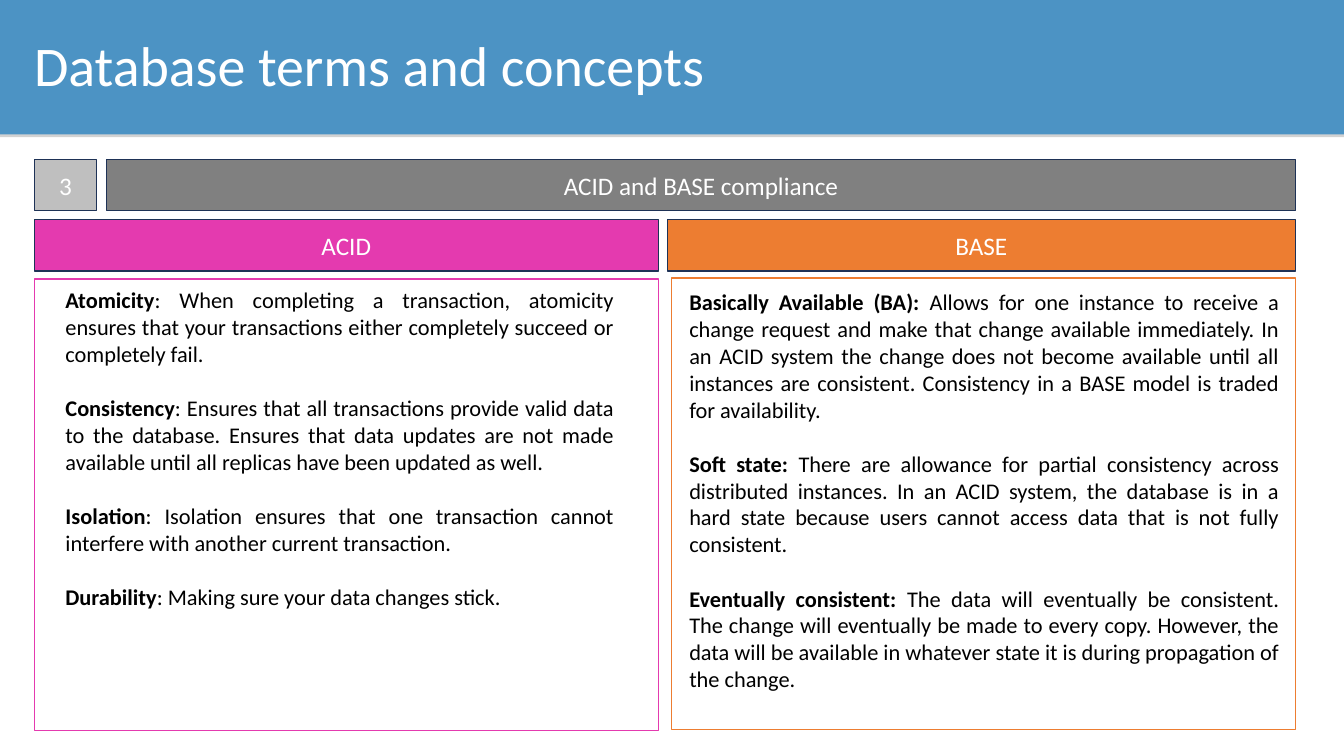
from lxml import etree
from pptx import Presentation
from pptx.dml.color import RGBColor
from pptx.enum.shapes import MSO_SHAPE
from pptx.enum.text import MSO_ANCHOR, PP_ALIGN
from pptx.oxml.ns import qn
from pptx.util import Inches, Pt

RECT = MSO_SHAPE.RECTANGLE
TOP, MIDDLE = MSO_ANCHOR.TOP, MSO_ANCHOR.MIDDLE
LEFT, CENTER, JUSTIFY = PP_ALIGN.LEFT, PP_ALIGN.CENTER, PP_ALIGN.JUSTIFY

FONT = "Calibri"
WHITE = RGBColor(0xFF, 0xFF, 0xFF)
BLACK = RGBColor(0x00, 0x00, 0x00)
BLUE = RGBColor(0x4C, 0x93, 0xC4)
NAVY = RGBColor(0x1E, 0x32, 0x56)
SILVER = RGBColor(0xBF, 0xBF, 0xBF)
GRAY = RGBColor(0x80, 0x80, 0x80)
PINK = RGBColor(0xE4, 0x3A, 0xAF)
ORANGE = RGBColor(0xED, 0x7D, 0x31)

WIDTH, HEIGHT = Inches(13.333), Inches(7.5)
COL, ROW = WIDTH / 100, HEIGHT / 100
MARGIN, RIGHT = 2.55, 96.38
BAR_H = 6.8
PANEL_W, PANEL_H = 46.43, 59.73

ACID = [
    ("Atomicity", ": When completing a transaction, atomicity ensures that your "
     "transactions either completely succeed or completely fail."),
    ("Consistency", ": Ensures that all transactions provide valid data to the "
     "database. Ensures that data updates are not made available until all "
     "replicas have been updated as well."),
    ("Isolation", ": Isolation ensures that one transaction cannot interfere "
     "with another current transaction."),
    ("Durability", ": Making sure your data changes stick."),
]
BASE = [
    ("Basically Available (BA): ", "Allows for one instance to receive a change "
     "request and make that change available immediately. In an ACID system the "
     "change does not become available until all instances are consistent. "
     "Consistency in a BASE model is traded for availability."),
    ("Soft state: ", "There are allowance for partial consistency across "
     "distributed instances. In an ACID system, the database is in a hard state "
     "because users cannot access data that is not fully consistent."),
    ("Eventually consistent: ", "The data will eventually be consistent. The "
     "change will eventually be made to every copy. However, the data will be "
     "available in whatever state it is during propagation of the change."),
]


def place(box):
    x, y, w, h = box
    return round(x * COL), round(y * ROW), round(w * COL), round(h * ROW)


def style_run(r, size, color, bold=False):
    r.font.name = FONT
    r.font.size = Pt(size)
    r.font.color.rgb = color
    r.font.bold = bold


def add_rect(s, box, fill=None, line=None):
    sp = s.shapes.add_shape(RECT, *place(box))
    sp.shadow.inherit = False
    if fill is None:
        sp.fill.background()
    else:
        sp.fill.solid()
        sp.fill.fore_color.rgb = fill
    if line is None:
        sp.line.fill.background()
    else:
        sp.line.color.rgb = line
        sp.line.width = Pt(1)
    return sp


def add_text_box(s, box):
    tf = s.shapes.add_textbox(*place(box)).text_frame
    tf.word_wrap = True
    tf.vertical_anchor = TOP
    return tf


def add_shadow(sp):
    effects = sp._element.spPr.find(qn("a:effectLst"))
    shadow = etree.SubElement(effects, qn("a:outerShdw"), blurRad="0",
                              dist=str(Pt(2)), dir="5400000",
                              algn="t", rotWithShape="0")
    color = etree.SubElement(shadow, qn("a:srgbClr"), val=str(GRAY))
    etree.SubElement(color, qn("a:alpha"), val="35000")


def add_header(s, box, title):
    x, y, w, h = box
    add_shadow(add_rect(s, box, BLUE))
    tf = add_text_box(s, (x + 1.8, y + 3.33, w - 4.3, h - 7.5))
    tf.text = title
    p = tf.paragraphs[0]
    p.alignment = LEFT
    style_run(p.runs[0], 40, WHITE)


def add_bar(s, box, label, fill):
    tf = add_rect(s, box, fill, NAVY).text_frame
    tf.word_wrap = True
    tf.vertical_anchor = MIDDLE
    tf.text = label
    p = tf.paragraphs[0]
    p.alignment = CENTER
    style_run(p.runs[0], 18, WHITE)


def add_panel(s, box, terms, line, pad, fill=None):
    x, y, w, h = box
    left, top, right = pad
    add_rect(s, box, fill, line)
    tf = add_text_box(s, (x + left, y + top, w - left - right, h - 4.5))
    for i, (term, meaning) in enumerate(terms):
        p = tf.paragraphs[0] if i == 0 else tf.add_paragraph()
        p.alignment = JUSTIFY
        p.space_before = Pt(19.5 if i else 0)
        for text, bold in ((term, True), (meaning, False)):
            r = p.add_run()
            r.text = text
            style_run(r, 16, BLACK, bold)


def build_slide(prs):
    s = prs.slides.add_slide(prs.slide_layouts[6])
    add_header(s, (0, 0, 100, 17.78), "Database terms and concepts")
    add_bar(s, (MARGIN, 21.07, 4.65, BAR_H), "3", SILVER)
    add_bar(s, (7.95, 21.07, RIGHT - 7.95, BAR_H), "ACID and BASE compliance", GRAY)
    add_bar(s, (MARGIN, 29.07, PANEL_W, BAR_H), "ACID", PINK)
    add_bar(s, (49.65, 29.07, RIGHT - 49.65, BAR_H), "BASE", ORANGE)
    add_panel(s, (MARGIN, 36.93, PANEL_W, PANEL_H), ACID, PINK, (1.58, 0.27, 2.55))
    add_panel(s, (RIGHT - PANEL_W, 36.8, PANEL_W, PANEL_H), BASE, ORANGE,
              (0.6, 0.67, 0.45), WHITE)


def main():
    prs = Presentation()
    prs.slide_width, prs.slide_height = WIDTH, HEIGHT
    build_slide(prs)
    prs.save("out.pptx")


if __name__ == "__main__":
    main()
